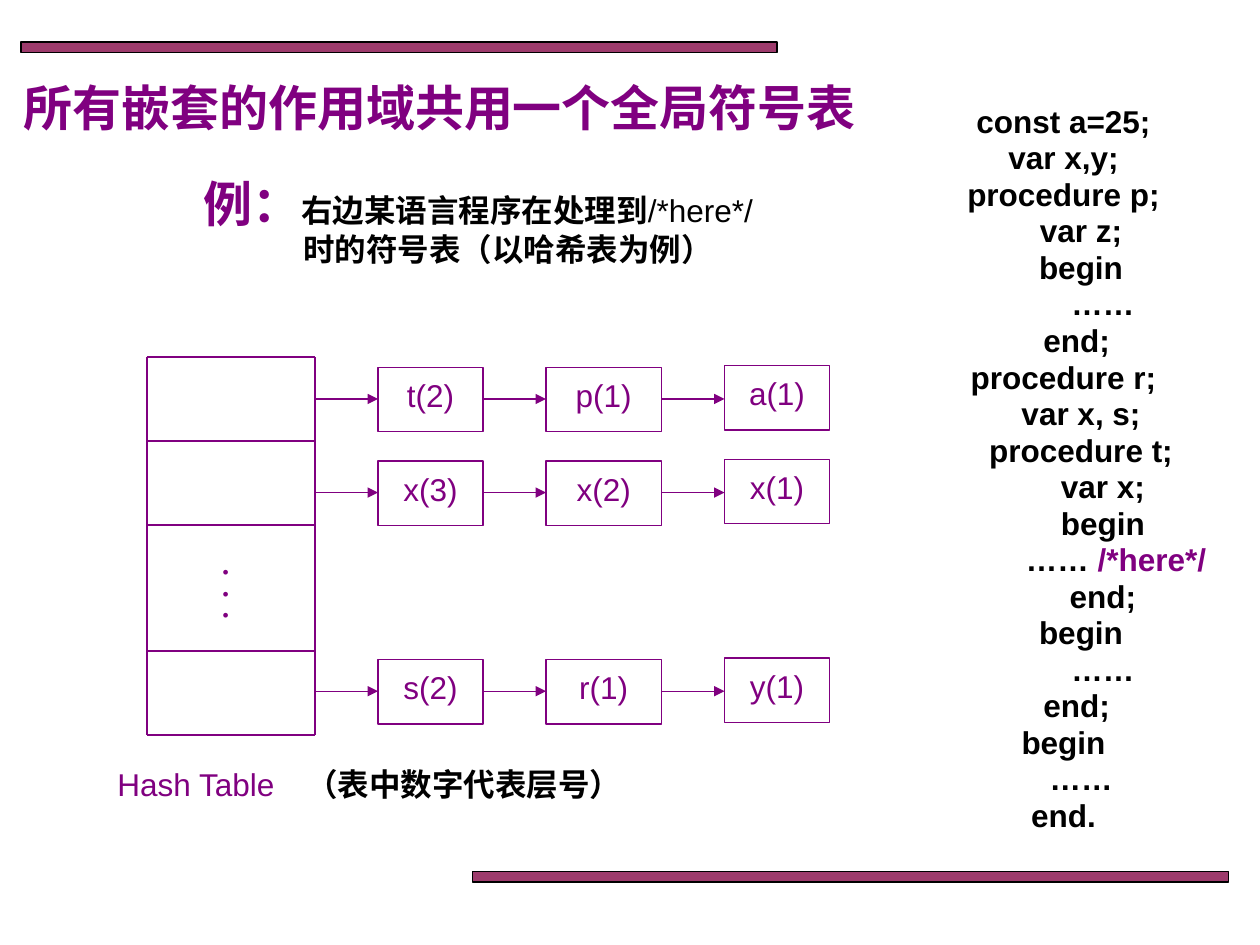
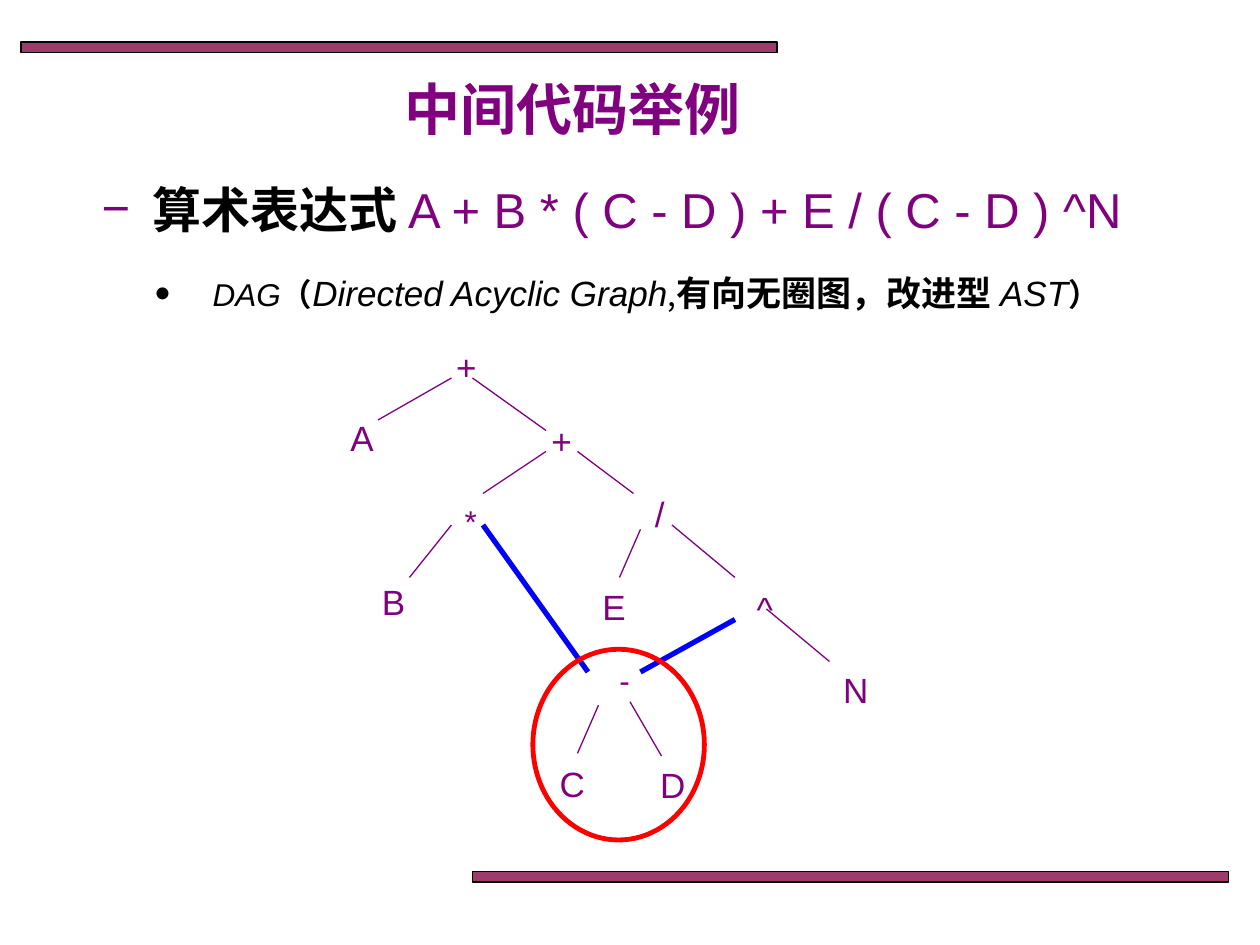
from dataclasses import dataclass

from lxml import etree
from pptx import Presentation
from pptx.dml.color import RGBColor
from pptx.enum.shapes import MSO_CONNECTOR, MSO_SHAPE
from pptx.enum.text import MSO_ANCHOR, PP_ALIGN
from pptx.oxml.ns import qn
from pptx.util import Pt

RECT, OVAL = MSO_SHAPE.RECTANGLE, MSO_SHAPE.OVAL
LEFT, MID = PP_ALIGN.LEFT, PP_ALIGN.CENTER
TOP = MSO_ANCHOR.TOP
STRAIGHT = MSO_CONNECTOR.STRAIGHT


@dataclass(frozen=True)
class Theme:
    main: str = "800080"
    ink: str = "000000"
    band: str = "993366"
    share: str = "0000FF"
    ring: str = "FF0000"
    latin: str = "Arial"
    asian: str = "Noto Sans CJK SC"
    title: int = 32
    head: int = 28
    node: int = 20
    body: int = 18
    dot: int = 10
    thin: float = 0.75
    thick: float = 3
    lead: float = 1.3


T = Theme()

# Content
BANDS = [(12, 24, 432, 6), (270, 498, 432, 6)]

SCOPE = "所有嵌套的作用域共用一个全局符号表"
# Each line of the program with its indent, counted in spaces
CODE = [
    (0, "const a=25;"), (0, "var x,y;"), (0, "procedure p;"),
    (4, "var z;"), (4, "begin"), (9, "……"), (3, "end;"),
    (0, "procedure r;"), (4, "var x, s;"), (4, "procedure t;"),
    (9, "var x;"), (9, "begin"), (12, "…… /*here*/"), (9, "end;"),
    (4, "begin"), (9, "……"), (3, "end;"),
    (0, "begin"), (4, "……"), (0, "end."),
]
MARK = "/*here*/"
CASE = [("例：", dict(size=T.head, color=T.main)),
        ("右边某语言程序在处理到", {}), (MARK, dict(bold=False))]
CASE_END = "时的符号表（以哈希表为例）"
LABEL = [("Hash Table\t", {}),
         ("（表中数字代表层号）", dict(color=T.ink, bold=True))]
CHAINS = [(210, ["t(2)", "p(1)", "a(1)"]),
          (263.5, ["x(3)", "x(2)", "x(1)"]),
          (377, ["s(2)", "r(1)", "y(1)"])]
COLS = [(216, 60, 0), (312, 66, 0), (414, 60, -1)]  # left, width, rise
TABLE = (84, 180)
RULES = [204, 252, 300, 372, 420]

SAMPLE = "中间代码举例"
EXPR = [("算术表达式 ", dict(bold=True, color=T.ink)),
        ("A + B * ( C - D ) + E / ( C - D ) ^N", {})]
SLANT, STRONG = dict(italic=True), dict(bold=True)
DAG = [("DAG", dict(size=T.body, italic=True)),
       ("（", dict(size=T.body, bold=True)),
       ("Directed Acyclic Graph", SLANT),
       (",", dict(size=T.body, font=T.asian)),
       ("有向无圈图，改进型 ", STRONG), ("AST", SLANT),
       ("）", dict(size=T.body, bold=True))]
# Text, left, top, width, height, size
NODES = [
    ("+", 250.5, 192, 32, 31, T.node), ("A", 192, 232.5, 30, 31, T.node),
    ("+", 306, 234, 30, 31, T.node), ("*", 255.5, 281, 27, 36, T.body),
    ("/", 363.5, 276, 27, 31, T.node), ("B", 210, 326, 30, 31, T.node),
    ("E", 336, 329, 30, 31, T.node), ("^", 418.5, 330, 37, 31, T.node),
    ("-", 342, 372, 30, 36, T.body), ("N", 474, 376.5, 30, 31, T.node),
    ("C", 312, 430, 30, 31, T.node), ("D", 366, 430.5, 37, 31, T.node),
]
EDGES = [
    (216, 240, 258, 216), (270, 216, 312, 246), (312, 258, 276, 282),
    (330, 258, 362, 282), (258, 300, 234, 330), (366, 302.5, 354, 330),
    (384, 300, 420, 330), (438, 348, 474, 378), (342, 403, 330, 430.5),
    (360, 401, 378, 432),
]
SHARED = [(276, 300, 336, 384), (420, 354, 366, 384)]
RING = (304.5, 371, 98, 109)


def tint(hue):
    return RGBColor.from_string(hue)


def sub(node, tag, **attrs):
    return etree.SubElement(node, qn(tag), attrs)


def say(frame, runs, size=T.body, color=T.main, bold=False, italic=False,
        font=T.latin, align=MID, left=0, hang=0, lead=None, above=0,
        mark=None, scale=100, tab=0):
    """Add a paragraph; runs is a string or a list of (text, format)."""
    para = frame.paragraphs[0]
    if para.runs:
        para = frame.add_paragraph()
    para.alignment = align
    if lead:
        para.line_spacing = Pt(lead)
    if above:
        para.space_before = Pt(above)
    props = para._p.get_or_add_pPr()
    props.set("marL", str(Pt(left)))
    props.set("indent", str(-Pt(hang)))
    if mark:
        hue = T.main if scale == 100 else T.ink
        sub(sub(props, "a:buClr"), "a:srgbClr", val=hue)
        sub(props, "a:buSzPct", val=str(scale * 1000))
        sub(props, "a:buFont", typeface=T.latin)
        sub(props, "a:buChar", char=mark)
    if tab:
        sub(sub(props, "a:tabLst"), "a:tab", pos=str(Pt(tab)), algn="l")
    base = dict(size=size, color=color, bold=bold, italic=italic, font=font)
    for words, own in [(runs, {})] if isinstance(runs, str) else runs:
        look = {**base, **own}
        run = para.add_run()
        run.text = words
        run.font.size = Pt(look["size"])
        run.font.bold = look["bold"]
        run.font.italic = look["italic"]
        run.font.name = look["font"]
        run.font.color.rgb = tint(look["color"])
        sub(run._r.get_or_add_rPr(), "a:ea", typeface=T.asian)


def pane(slide, box, inset=3.6):
    """Add an empty text box and return its frame."""
    frame = slide.shapes.add_textbox(*map(Pt, box)).text_frame
    frame.word_wrap = True
    frame.vertical_anchor = TOP
    frame.margin_top = Pt(inset)
    return frame


def form(slide, kind, box, line=T.main, width=T.thin, fill=None):
    shape = slide.shapes.add_shape(kind, *map(Pt, box))
    shape.shadow.inherit = False
    shape.line.color.rgb = tint(line)
    shape.line.width = Pt(width)
    if fill:
        shape.fill.solid()
        shape.fill.fore_color.rgb = tint(fill)
    else:
        shape.fill.background()
    return shape


def wire(slide, ends, color=T.main, width=T.thin, arrow=False):
    link = slide.shapes.add_connector(STRAIGHT, *map(Pt, ends))
    link.line.color.rgb = tint(color)
    link.line.width = Pt(width)
    if arrow:
        sub(link.line._get_or_add_ln(), "a:tailEnd", type="triangle")
    sub(link._element.spPr, "a:effectLst")


def start(deck):
    """Add a blank slide with its two bands."""
    slide = deck.slides.add_slide(deck.slide_layouts[6])
    for box in BANDS:
        band = form(slide, RECT, box, line=T.ink, fill=T.band)
        hue = next(band._element.spPr.iter(qn("a:srgbClr")))
        sub(hue, "a:alpha", val="96000")
    return slide


def title(slide, box, words, size, **fmt):
    say(pane(slide, box), words, size=size, bold=True,
        lead=size * T.lead, **fmt)


def scopes(deck):
    slide = start(deck)
    frame = pane(slide, (505.5, 59, 204.5, 435.5), inset=0)
    for depth, line in CODE:
        runs = [(line.replace(MARK, ""), {})]
        if MARK in line:
            runs.append((MARK, dict(color=T.main)))
        say(frame, runs, color=T.ink, bold=True, left=depth * 5, lead=20.87)

    frame = pane(slide, (28, 93, 459.5, 70))
    say(frame, CASE, color=T.ink, bold=True, left=31, lead=T.head * T.lead)
    say(frame, CASE_END, color=T.ink, bold=True, left=65, lead=20)
    title(slide, (1.5, 38, 565, 41), SCOPE, T.head, align=LEFT, left=5)

    for x in TABLE:
        wire(slide, (x, RULES[0], x, RULES[-1]))
    for y in RULES:
        wire(slide, (TABLE[0], y, TABLE[1], y))
    say(pane(slide, (120, 317, 18, 43)), "•••", size=T.dot, lead=12.2)

    for top, names in CHAINS:
        tail = TABLE[1]
        for name, (x, width, rise) in zip(names, COLS):
            cell = form(slide, RECT, (x, top + rise, width, 36.7))
            frame = cell.text_frame
            frame.vertical_anchor = TOP
            frame.margin_top = Pt(5)
            say(frame, name)
            wire(slide, (tail, top + 18, x, top + 18), arrow=True)
            tail = x + width

    say(pane(slide, (60, 432, 412, 36)), LABEL, align=LEFT,
        lead=T.body * T.lead, tab=119)


def graph(deck):
    slide = start(deck)
    frame = pane(slide, (40.5, 96, 618, 86))
    say(frame, EXPR, size=T.head, left=29, hang=29, mark="−",
        lead=T.head * T.lead)
    say(frame, DAG, size=T.node, color=T.ink, left=51, hang=33, mark="•",
        scale=140, lead=T.node * T.lead, above=17.4)
    title(slide, (43, 36, 561.5, 45), SAMPLE, T.title, left=7,
          font=T.asian)

    for name, *box, size in NODES:
        say(pane(slide, box, inset=5.6), name, size=size)
    for ends in EDGES:
        wire(slide, ends)
    for ends in SHARED:
        wire(slide, ends, color=T.share, width=T.thick)
    form(slide, OVAL, RING, line=T.ring, width=2.75)


def main():
    deck = Presentation()
    deck.slide_width, deck.slide_height = Pt(720), Pt(540)
    scopes(deck)
    graph(deck)
    deck.save("out.pptx")


if __name__ == "__main__":
    main()
